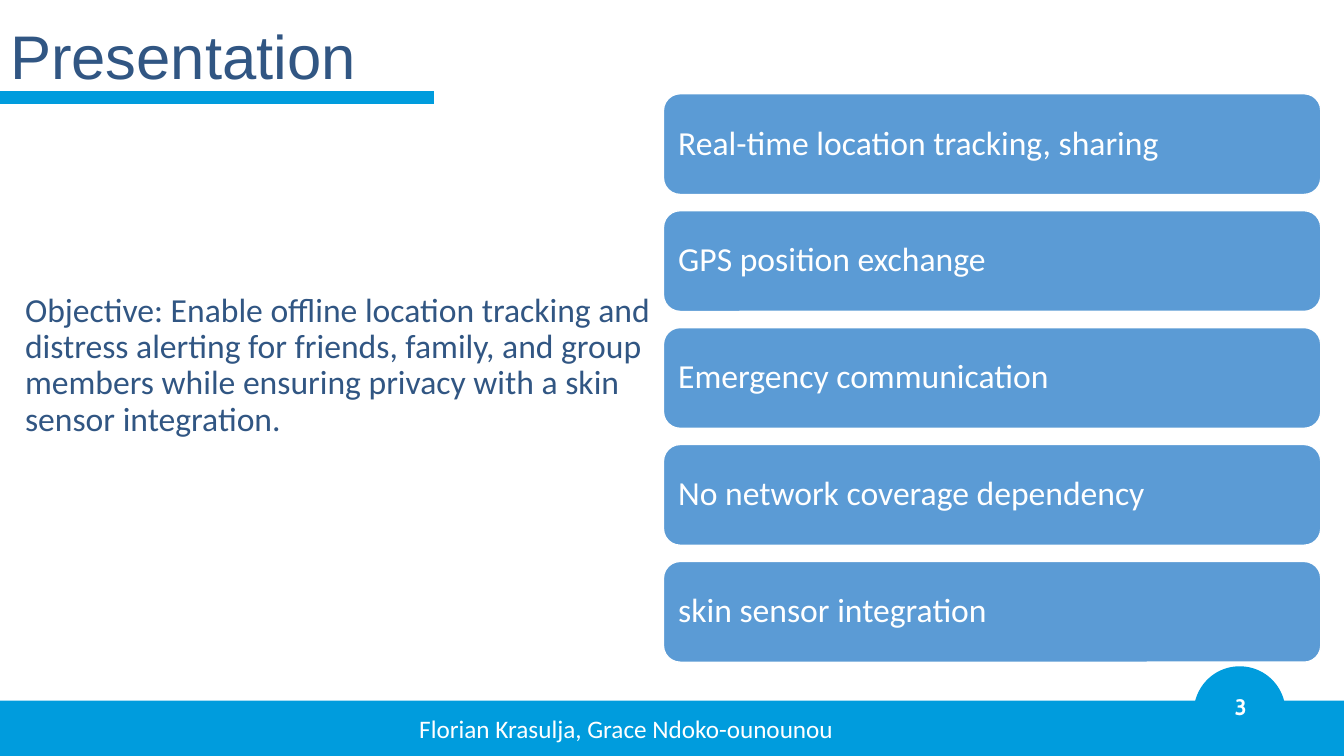
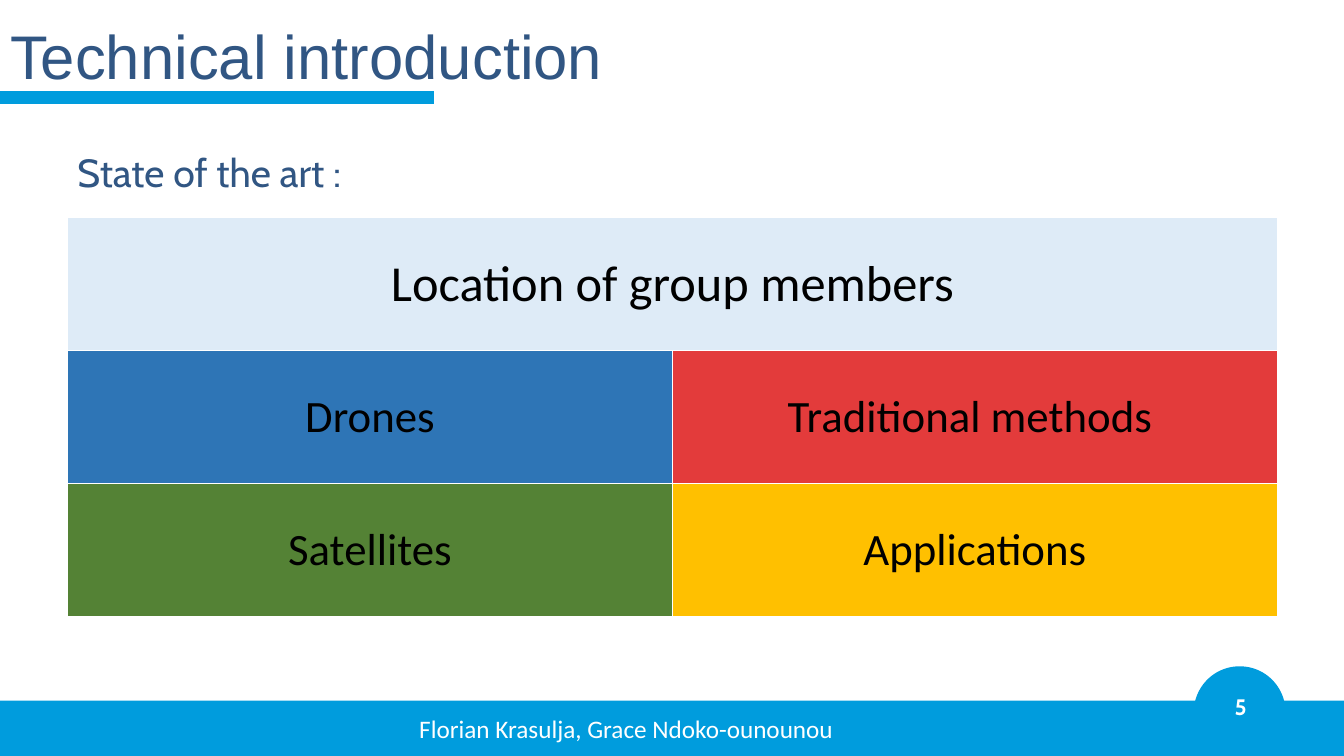
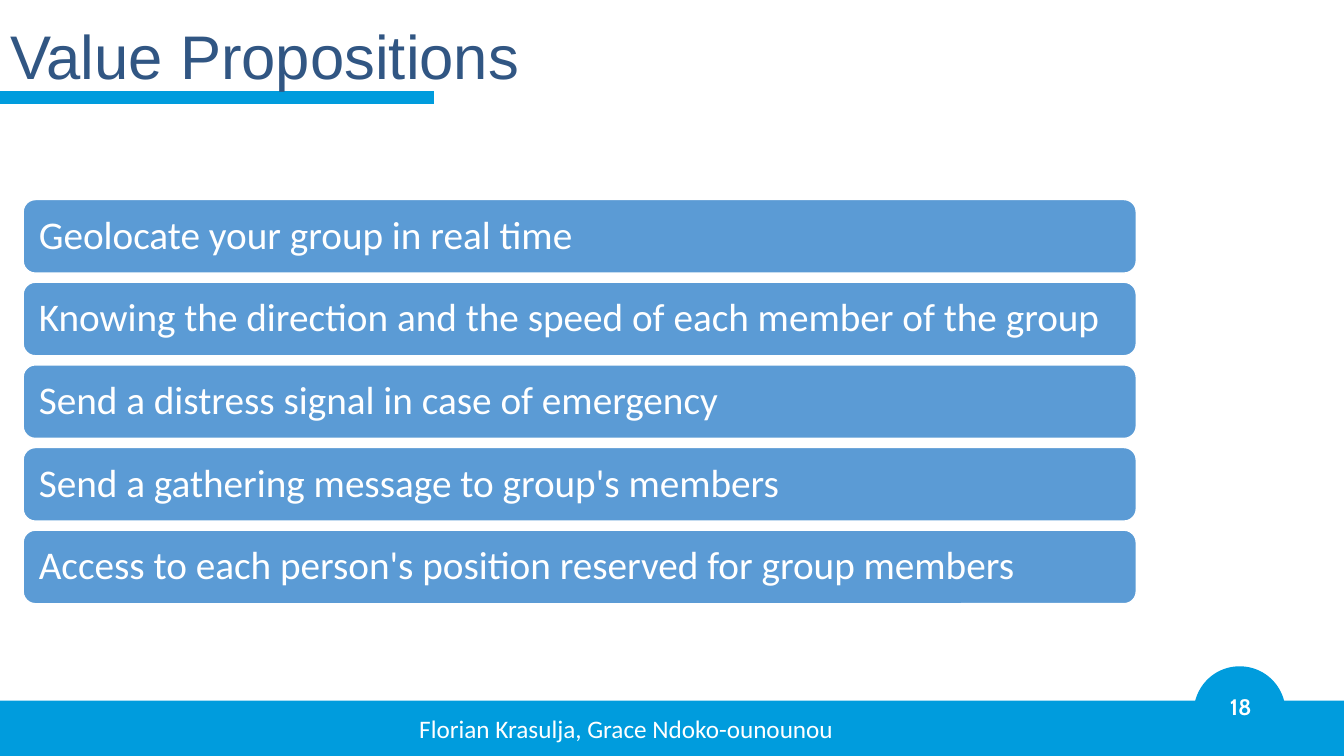
import dataclasses

import pptx
import pptx.dml.color
import pptx.enum.shapes
import pptx.enum.text
import pptx.oxml
import pptx.oxml.ns
import pptx.util
from pptx.util import Inches

rgb = pptx.dml.color.RGBColor.from_string
SHAPE = pptx.enum.shapes.MSO_SHAPE
ALIGN = pptx.enum.text.PP_ALIGN
MIDDLE = pptx.enum.text.MSO_ANCHOR.MIDDLE


@dataclasses.dataclass(frozen=True)
class Theme:
    navy = rgb("315683")
    band = rgb("009CDD")
    card = rgb("5B9BD5")
    white = rgb("FFFFFF")
    black = rgb("000000")
    heading_fill = rgb("DEEBF7")
    drones_fill = rgb("2E75B6")
    methods_fill = rgb("E33B3B")
    satellites_fill = rgb("548235")
    applications_fill = rgb("FFC000")
    title_font = "Arial"
    body_font = "Calibri"
    accent_font = "Cabin"
    title_size = 44
    heading_size = 36
    cell_size = 32
    large_size = 28
    body_size = 24
    footer_size = 18
    number_size = 16


theme = Theme()


def write(frame, text, size, color, face=theme.body_font, align=ALIGN.LEFT, spacing=1.0, bold=False):
    frame.word_wrap = True
    frame.text = text
    paragraph = frame.paragraphs[0]
    paragraph.alignment = align
    paragraph.line_spacing = spacing
    font = paragraph.runs[0].font
    font.size = pptx.util.Pt(size)
    font.name = face
    font.bold = bold
    font.color.rgb = color
    return paragraph


def add_filled(slide, preset, box, fill, outline=None):
    shape = slide.shapes.add_shape(preset, *map(Inches, box))
    shape.shadow.inherit = False
    shape.fill.solid()
    shape.fill.fore_color.rgb = fill
    if outline is None:
        shape.line.fill.background()
    else:
        shape.line.color.rgb = outline
        shape.line.width = pptx.util.Pt(1)
    return shape


prs = pptx.Presentation()
prs.slide_width = Inches(13.33)
prs.slide_height = Inches(7.5)
layout = prs.slide_layouts[5]

slides = []
for heading, number in (("Presentation", "3"), ("Technical introduction", "5"), ("Value Propositions", "18")):
    slide = prs.slides.add_slide(layout)
    slides.append(slide)
    title = slide.shapes.title
    title.left, title.top, title.width, title.height = map(Inches, (0, 0, 11.5, 1.18))
    write(title.text_frame, heading, theme.title_size, theme.navy, theme.title_font, spacing=0.9)
    title.text_frame.vertical_anchor = MIDDLE
    title.text_frame.auto_size = pptx.enum.text.MSO_AUTO_SIZE.NONE
    page_number = slide.shapes.add_textbox(*map(Inches, (11.91, 6.83, 0.79, 0.33)))
    write(page_number.text_frame, number, theme.number_size, theme.white, theme.accent_font, ALIGN.CENTER, bold=True)

presentation, introduction, propositions = slides

footer_band = add_filled(presentation, SHAPE.RECTANGLE, (0, 6.95, 13.33, 0.55), theme.band)
number_disc = add_filled(presentation, SHAPE.OVAL, (11.84, 6.61, 0.91, 0.91), theme.band)
title_rule = presentation.shapes.add_connector(
    pptx.enum.shapes.MSO_CONNECTOR.STRAIGHT, Inches(0), Inches(0.97), Inches(4.3), Inches(0.97))
title_rule.line.color.rgb = theme.band
title_rule.line.width = pptx.util.Pt(9)
title_rule.element.spPr.append(pptx.oxml.parse_xml(f"<a:effectLst {pptx.oxml.ns.nsdecls('a')}/>"))
authors = presentation.shapes.add_textbox(*map(Inches, (4.06, 7.03, 6.7, 0.4)))
write(authors.text_frame, "Florian Krasulja, Grace Ndoko-ounounou", theme.footer_size, theme.white)
for shared in (footer_band, number_disc, title_rule, authors):
    layout.shapes.element.append(shared.element)

objective = presentation.shapes.add_textbox(*map(Inches, (0.15, 2.86, 6.52, 3.03)))
objective_line = write(
    objective.text_frame,
    "Objective: Enable offline location tracking and distress alerting for friends, family, "
    "and group members while ensuring privacy with a skin sensor integration.",
    theme.body_size, theme.navy, spacing=0.9)
objective_line.space_before = pptx.util.Pt(10)

features = (
    "Real-time location tracking, sharing",
    "GPS position exchange",
    "Emergency communication",
    "No network coverage dependency",
    "skin sensor integration",
)
benefits = (
    "Geolocate your group in real time",
    "Knowing the direction and the speed of each member of the group",
    "Send a distress signal in case of emergency",
    "Send a gathering message to group's members",
    "Access to each person's position reserved for group members",
)
card_lists = (
    (presentation, features, (6.58, 0.93, 6.52, 1), 1.16, 0.1, theme.body_size),
    (propositions, benefits, (0.23, 1.98, 11.04, 0.73), 0.82, 0.12, theme.large_size),
)
for slide, entries, (left, top, width, height), pitch, inset, size in card_lists:
    for row, entry in enumerate(entries):
        box = (left, top + row * pitch, width, height)
        card = add_filled(slide, SHAPE.ROUNDED_RECTANGLE, box, theme.card, theme.white)
        frame = card.text_frame
        write(frame, entry, size, theme.white, spacing=0.9)
        frame.vertical_anchor = MIDDLE
        frame.margin_left = frame.margin_right = Inches(inset)
        frame.margin_top = frame.margin_bottom = Inches(inset)

state_of_art = introduction.shapes.add_textbox(*map(Inches, (0.67, 1.42, 3.49, 0.57)))
write(state_of_art.text_frame, "State of the art :", theme.large_size, theme.navy, theme.accent_font)

methods = introduction.shapes.add_table(3, 2, *map(Inches, (0.67, 2.16, 12, 3.96))).table
methods.first_row = False
methods.horz_banding = False
methods.cell(0, 0).merge(methods.cell(0, 1))
for cell in methods.iter_cells():
    properties = cell._tc.get_or_add_tcPr()
    for side in ("lnL", "lnR", "lnT", "lnB"):
        properties.append(pptx.oxml.parse_xml(
            f'<a:{side} {pptx.oxml.ns.nsdecls("a")} w="12700"><a:solidFill>'
            f'<a:srgbClr val="{theme.white}"/></a:solidFill></a:{side}>'))

method_cells = (
    (0, 0, "Location of group members", theme.heading_size, theme.heading_fill),
    (1, 0, "Drones", theme.cell_size, theme.drones_fill),
    (1, 1, "Traditional methods ", theme.cell_size, theme.methods_fill),
    (2, 0, "Satellites", theme.cell_size, theme.satellites_fill),
    (2, 1, "Applications", theme.cell_size, theme.applications_fill),
)
for row, column, label, size, fill in method_cells:
    cell = methods.cell(row, column)
    cell.fill.solid()
    cell.fill.fore_color.rgb = fill
    cell.vertical_anchor = MIDDLE
    write(cell.text_frame, label, size, theme.black, align=ALIGN.CENTER)

prs.save("out.pptx")
